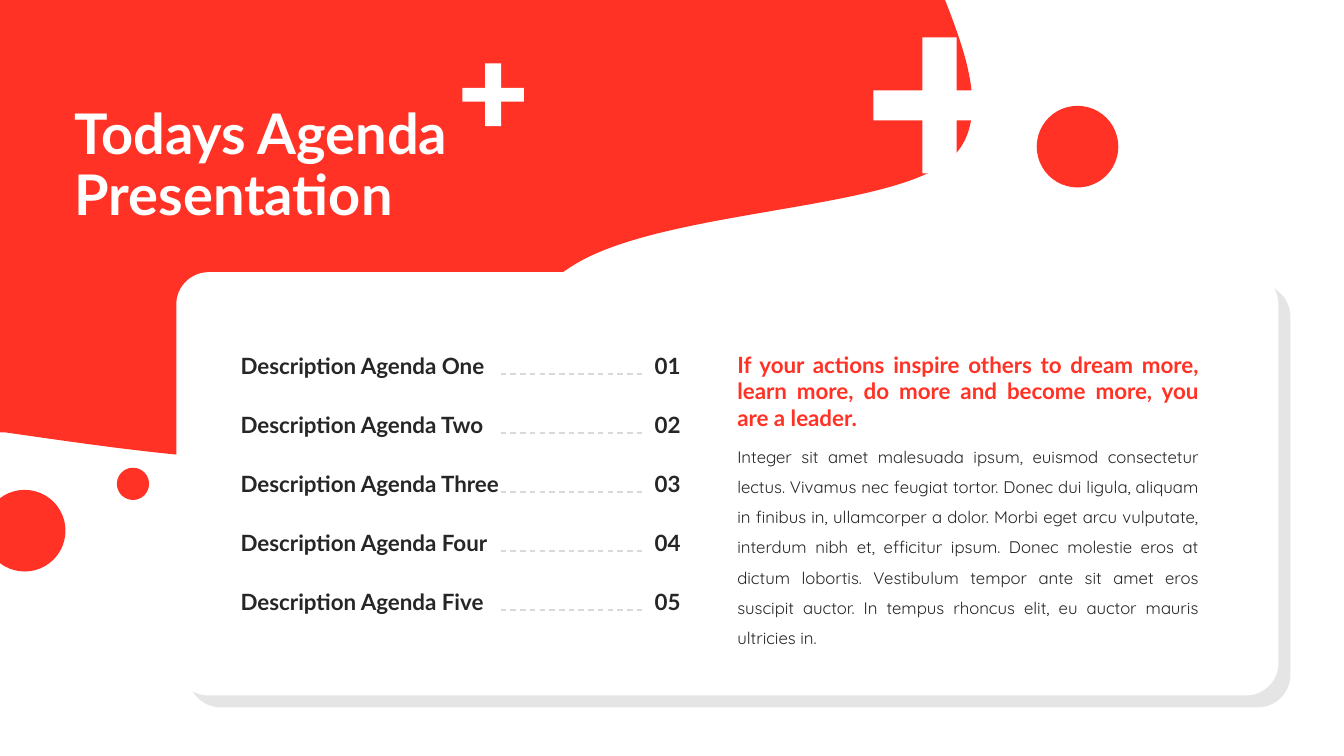
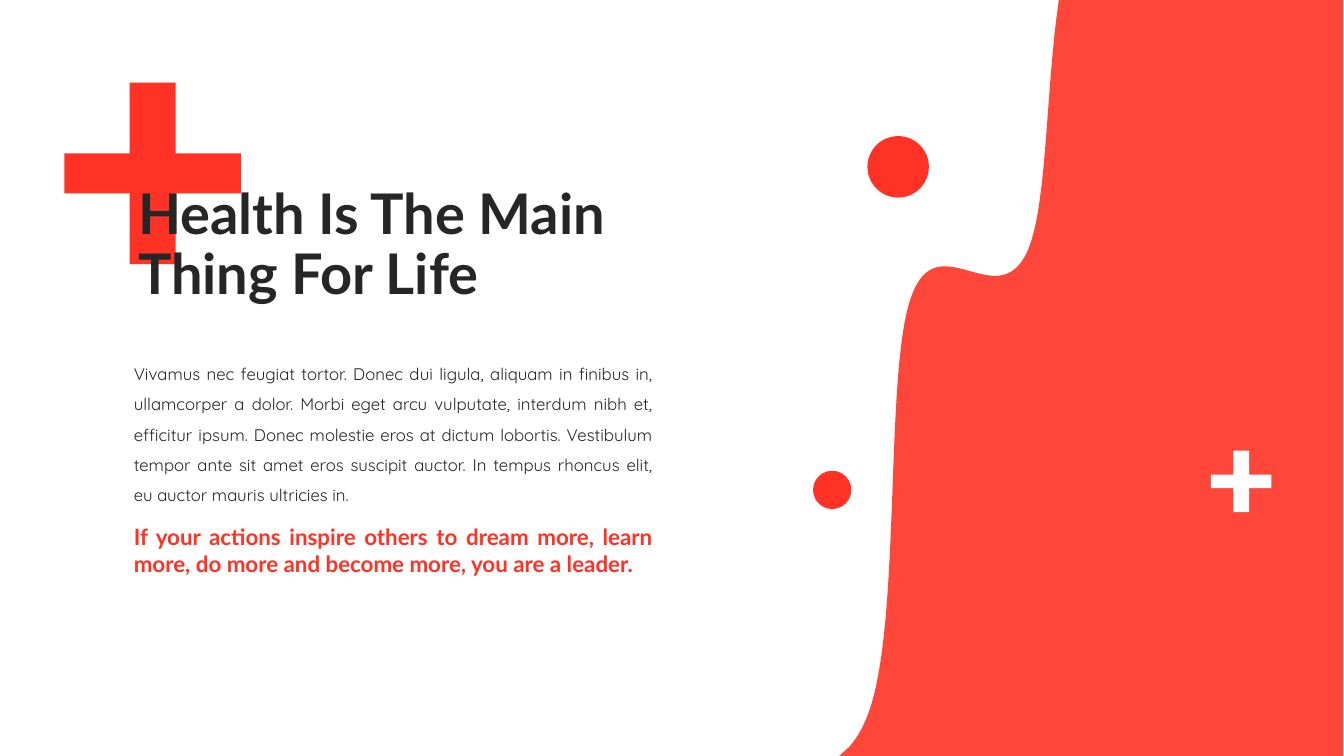
"""Builds a two-slide health deck with an agenda and a message."""
from dataclasses import dataclass
from typing import NamedTuple

from lxml.etree import SubElement
from pptx import Presentation
from pptx.dml.color import RGBColor
from pptx.enum.dml import MSO_LINE_DASH_STYLE as Dash
from pptx.enum.shapes import MSO_CONNECTOR as Connector, MSO_SHAPE as Preset
from pptx.enum.text import MSO_ANCHOR as Anchor, MSO_AUTO_SIZE as AutoSize, PP_ALIGN as Align
from pptx.oxml.ns import qn
from pptx.util import Emu, Pt

EMU_PER_PX = 9144
TITLE_ONLY = 5


@dataclass(frozen=True)
class Theme:
    """Colours, fonts and type sizes of the deck."""
    red: str = "FF3225"
    white: str = "FFFFFF"
    ink: str = "262626"
    rule: str = "D9D9D9"
    shadow: str = "000000"
    heading_font: str = "Lato"
    body_font: str = "Quicksand"
    title_size: int = 40
    strong_size: int = 16
    body_size: int = 12


class Box(NamedTuple):
    """A rectangle in px."""
    left: float
    top: float
    width: float
    height: float

    def inner(self, left, top, width, height):
        """Return a box placed relative to this one."""
        return Box(self.left + left, self.top + top, width, height)

    def emu(self):
        """Return the four lengths in EMU."""
        return [px(length) for length in self]


THEME = Theme()
PAGE = Box(0, 0, 1334, 750)
QUOTE = ("If your actions inspire others to dream more, learn more, "
         "do more and become more, you are a leader.")
MESSAGE = ("Vivamus nec feugiat tortor. Donec dui ligula, aliquam in finibus in, "
           "ullamcorper a dolor. Morbi eget arcu vulputate, interdum nibh et, "
           "efficitur ipsum. Donec molestie eros at dictum lobortis. Vestibulum "
           "tempor ante sit amet eros suscipit auctor. In tempus rhoncus elit, "
           "eu auctor mauris ultricies in.")
INTRODUCTION = "Integer sit amet malesuada ipsum, euismod consectetur lectus. " + MESSAGE
AGENDA = [f"Description Agenda {number}" for number in ("One", "Two", "Three", "Four", "Five")]
TOP_WAVE = [
    (274, 457), (183, 456, 70, 438, 5, 429), (0, 429), (0, 0), (938, 0), (940, 5),
    (958, 52, 985, 123, 942, 159), (885, 207, 678, 208, 582, 256),
    (487, 304, 471, 420, 369, 448), (343, 455, 310, 457, 274, 457)]
SIDE_WAVE = [
    (218, 0), (500, 0), (500, 750), (0, 750), (10, 741), (16, 734, 22, 725, 26, 715),
    (63, 632, 44, 374, 71, 296), (97, 219, 157, 315, 187, 249),
    (205, 208, 205, 108, 215, 23), (218, 0)]


def px(length):
    """Turn px into EMU."""
    return Emu(round(length * EMU_PER_PX))


def colour(value):
    """Turn a hex string into a colour."""
    return RGBColor.from_string(value)


def paint(shape, fill, opacity=100):
    """Give a shape a flat fill without line or shadow."""
    shape.shadow.inherit = False
    shape.line.fill.background()
    shape.fill.solid()
    shape.fill.fore_color.rgb = colour(fill)
    if opacity < 100:
        tint = shape.element.spPr.find(f"{qn('a:solidFill')}/{qn('a:srgbClr')}")
        SubElement(tint, qn("a:alpha"), val=str(opacity * 1000))
    return shape


def write(frame, text, *, size, color, font=THEME.heading_font, bold=True,
          align=Align.LEFT, anchor=Anchor.TOP, spacing=1.0, fit=AutoSize.SHAPE_TO_FIT_TEXT):
    """Write one formatted paragraph into a text frame."""
    frame.word_wrap = True
    frame.auto_size = fit
    frame.vertical_anchor = anchor
    para = frame.paragraphs[0]
    para.alignment = align
    para.line_spacing = spacing
    span = para.add_run()
    span.text = text
    span.font.name = font
    span.font.size = Pt(size)
    span.font.bold = bold
    span.font.color.rgb = colour(color)


def add_text(page, box, text, **style):
    """Add a text box."""
    write(page.shapes.add_textbox(*box.emu()).text_frame, text, **style)


def add_title(page, left, top, text, color):
    """Place the title placeholder in front of the other shapes."""
    title = page.shapes.title
    title.left, title.top, title.width, title.height = Box(left, top, 509, 145).emu()
    write(title.text_frame, text, size=THEME.title_size, color=color,
          anchor=Anchor.MIDDLE, spacing=0.9, fit=AutoSize.NONE)
    title.element.getparent().append(title.element)


def add_quote(page, box):
    """Add the justified red quote."""
    add_text(page, box, QUOTE, size=THEME.strong_size, color=THEME.red, align=Align.JUSTIFY)


def add_body(page, box, text):
    """Add a justified body paragraph."""
    add_text(page, box, text, size=THEME.body_size, color=THEME.ink, font=THEME.body_font,
             bold=False, align=Align.JUSTIFY, spacing=1.5)


def bend(line, curve):
    """Turn a straight path segment into a cubic curve."""
    line.tag = qn("a:cubicBezTo")
    end = line[0]
    for x, y in (curve[:2], curve[2:4]):
        end.addprevious(end.makeelement(qn("a:pt"), x=str(px(x)), y=str(px(y))))


def add_outline(page, box, segments, fill, opacity=100):
    """Add a closed outline of lines and cubic curves that fills a box."""
    corners = [(px(box.left + segment[-2]), px(box.top + segment[-1])) for segment in segments]
    builder = page.shapes.build_freeform(*corners[0])
    builder.add_line_segments(corners[1:], close=True)
    shape = paint(builder.convert_to_shape(), fill, opacity)
    shape.width, shape.height = px(box.width), px(box.height)
    outline = next(shape.element.iter(qn("a:path")))
    outline.set("w", str(shape.width))
    outline.set("h", str(shape.height))
    for line, segment in zip(outline.findall(qn("a:lnTo")), segments[1:]):
        if len(segment) > 2:
            bend(line, segment)


def add_cross(page, box, fill):
    """Add a medical cross that fills a box."""
    right, bottom = box.width, box.height
    x1, x2 = right * 0.37, right * 0.63
    y1, y2 = bottom * 0.39, bottom * 0.61
    add_outline(page, box, [
        (x1, 0), (x2, 0), (x2, y1), (right, y1), (right, y2), (x2, y2), (x2, bottom),
        (x1, bottom), (x1, y2), (0, y2), (0, y1), (x1, y1), (x1, 0)], fill)


def add_dots(page, *dots):
    """Add red dots given as left, top and diameter."""
    for left, top, size in dots:
        box = Box(left, top, size, size)
        paint(page.shapes.add_shape(Preset.OVAL, *box.emu()), THEME.red)


def add_card(page, box):
    """Add a white rounded card with a hard shadow."""
    card = paint(page.shapes.add_shape(Preset.ROUNDED_RECTANGLE, *box.emu()), THEME.white)
    card.adjustments[0] = 0.077
    effects = card.element.spPr.find(qn("a:effectLst"))
    shadow = SubElement(effects, qn("a:outerShdw"), blurRad="0", dist=str(Pt(12.1)),
                        dir=str(45 * 60000), algn="tl", rotWithShape="0")
    tint = SubElement(shadow, qn("a:srgbClr"), val=THEME.shadow)
    SubElement(tint, qn("a:alpha"), val="10000")


def add_leader(page, box):
    """Add a dashed line along the top of a box."""
    left, top, width, _ = box.emu()
    leader = page.shapes.add_connector(Connector.STRAIGHT, left, top, left + width, top)
    leader.line.color.rgb = colour(THEME.rule)
    leader.line.width = Pt(1)
    leader.line.dash_style = Dash.DASH
    SubElement(leader.element.spPr, qn("a:effectLst"))


def add_agenda(page, box, entries):
    """Add evenly spaced agenda rows with leaders and numbers."""
    row_height, number_width = 37, 50
    pitch = (box.height - row_height) / (len(entries) - 1)
    style = dict(size=THEME.strong_size, color=THEME.ink, anchor=Anchor.MIDDLE)
    for index, entry in enumerate(entries):
        row = box.inner(0, pitch * index, box.width, row_height)
        add_text(page, row.inner(0, 0, 285, row_height), entry, **style)
        add_text(page, row.inner(box.width - number_width, 0, number_width, row_height),
                 f"{index + 1:02}", **style)
        add_leader(page, row.inner(268, 27, 141, 0))


def build_agenda_page(page):
    """Build the agenda slide."""
    add_outline(page, Box(0, 0, 965, 457), TOP_WAVE, THEME.red)
    add_cross(page, Box(867, 37, 131, 135), THEME.white)
    add_cross(page, Box(459, 63, 61, 62), THEME.white)
    card = Box(175, 270, 1094, 420)
    add_card(page, card)
    add_agenda(page, card.inner(54, 74, 461, 271), AGENDA)
    add_body(page, card.inner(547, 158, 478, 220), INTRODUCTION)
    add_quote(page, card.inner(547, 73, 478, 90))
    add_dots(page, (1029, 105, 81), (116, 464, 32), (-16, 486, 81))
    add_title(page, 64, 93, "Todays Agenda Presentation", THEME.white)


def build_message_page(page):
    """Build the message slide."""
    add_outline(page, Box(833, 0, 500, 750), SIDE_WAVE, THEME.red, opacity=90)
    add_cross(page, Box(64, 82, 175, 180), THEME.red)
    column = Box(123, 346, 535, 232)
    add_body(page, column.inner(0, 0, 535, 160), MESSAGE)
    add_quote(page, column.inner(0, 168, 535, 64))
    add_dots(page, (807, 467, 38), (861, 135, 61))
    add_cross(page, Box(1202, 447, 60, 61), THEME.white)
    add_title(page, 127, 172, "Health Is The Main Thing For Life", THEME.ink)


def main():
    """Build and save the deck."""
    deck = Presentation()
    deck.slide_width, deck.slide_height = px(PAGE.width), px(PAGE.height)
    for build in (build_agenda_page, build_message_page):
        build(deck.slides.add_slide(deck.slide_layouts[TITLE_ONLY]))
    deck.save("out.pptx")


if __name__ == "__main__":
    main()
